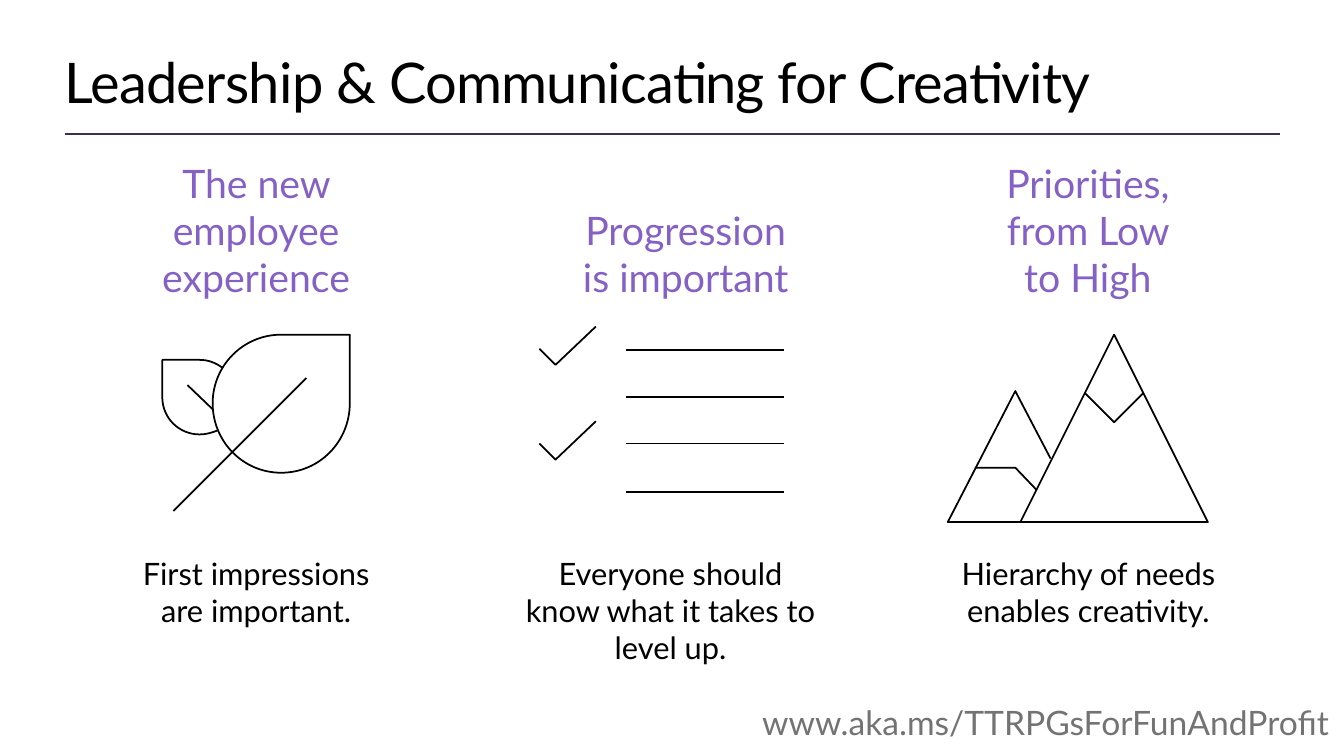
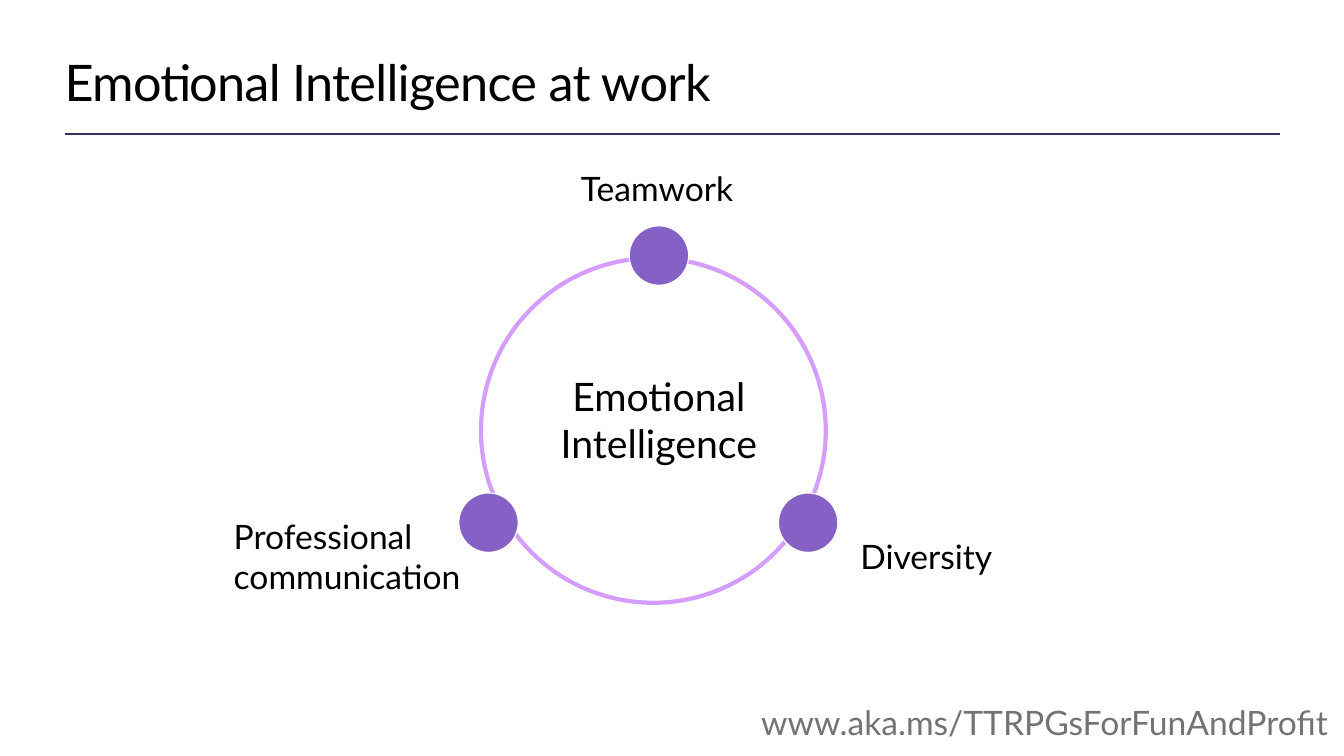
from lxml import etree
from pptx import Presentation
from pptx.dml.color import RGBColor
from pptx.enum.shapes import MSO_CONNECTOR, MSO_SHAPE
from pptx.enum.text import MSO_ANCHOR as Anchor, MSO_AUTO_SIZE, PP_ALIGN as Align
from pptx.oxml.ns import qn
from pptx.util import Inches, Pt

FONT = "Lato"
COLORS = {"text": "000000", "accent": "8661C5", "ring": "D59DFF",
          "rule": "3B2E58", "footer": "737373", "white": "FFFFFF"}
FOOTER = "www.aka.ms/TTRPGsForFunAndProfit"

# A stroke lists points (x, y); three points in one tuple make a Bézier curve.
LEAVES = [
    [(3.47, 3.32), (3.47, 4),
     ((3.47, 4.38), (3.17, 4.69), (2.79, 4.69)),
     ((2.41, 4.69), (2.11, 4.38), (2.11, 4)),
     ((2.11, 3.63), (2.41, 3.32), (2.79, 3.32)), (3.47, 3.32)],
    [(1.72, 5.07), (3.04, 3.75)],
    [(1.86, 3.82), (2.11, 4.06)],
    [(2.21, 3.65), ((2.14, 3.6), (2.07, 3.57), (1.98, 3.57)),
     (1.61, 3.57), (1.61, 3.94),
     ((1.61, 4.15), (1.78, 4.31), (1.98, 4.31)),
     ((2.05, 4.31), (2.11, 4.29), (2.16, 4.27))],
]
CHECKLIST = [[(6.21, y), (7.78, y)] for y in (3.47, 3.94, 4.4, 4.88)] + [
    [(5.35, y), (5.51, y + 0.16), (5.91, y - 0.22)] for y in (3.46, 4.4)]
MOUNTAINS = [
    [(11.98, 5.18), (11.05, 3.32), (10.12, 5.18), (11.98, 5.18)],
    [(10.16, 5.18), (9.4, 5.18), (10.07, 3.88), (10.42, 4.55)],
    [(11.34, 3.9), (11.05, 4.19), (10.76, 3.9)],
    [(9.67, 4.64), (10.07, 4.64), (10.28, 4.86)],
]

# heading, heading left and width, icon, caption, caption left, width and height
COLUMNS = [
    ("The new employee experience", 1.32, 2.44, LEAVES,
     "First impressions are important.", 1.32, 2.44, 0.74),
    ("Progression is important", 5.74, 2.12, CHECKLIST,
     "Everyone should know what it takes to level up.", 5.16, 2.98, 1.11),
    ("Priorities, from Low to High", 9.92, 1.74, MOUNTAINS,
     "Hierarchy of needs enables creativity.", 9.2, 3.19, 1.11),
]

RING = (4.77, 2.56, 3.42)
DOT_SIZE = 0.59
# dot left and top, label, label box, alignment
TOPICS = [
    ((4.55, 4.89), "Professional communication", (2.22, 5.07, 2.63, 0.91), Align.LEFT),
    ((7.72, 4.89), "Diversity", (7.79, 5.27, 2.15, 0.5), Align.RIGHT),
    ((6.24, 2.24), "Teamwork", (5.58, 1.62, 1.79, 0.5), Align.RIGHT),
]


def rgb(name):
    return RGBColor.from_string(COLORS[name])


def fill_text(shape, text, size, color="text", align=Align.LEFT, anchor=Anchor.TOP,
              flush=True):
    """Write one paragraph, with line breaks at newlines; flush removes the insets."""
    frame = shape.text_frame
    frame.word_wrap = True
    frame.auto_size = MSO_AUTO_SIZE.SHAPE_TO_FIT_TEXT
    frame.vertical_anchor = anchor
    if flush:
        frame.margin_left = frame.margin_right = 0
        frame.margin_top = frame.margin_bottom = 0
    paragraph = frame.paragraphs[0]
    paragraph.alignment = align
    for index, line in enumerate(text.split("\n")):
        if index:
            paragraph.add_line_break()
        run = paragraph.add_run()
        run.text = line
        run.font.name = FONT
        run.font.size = Pt(size)
        run.font.color.rgb = rgb(color)
    return paragraph


def add_text(slide, box, text, size, **style):
    shape = slide.shapes.add_textbox(*map(Inches, box))
    fill_text(shape, text, size, **style)


def set_line(shape, color, width):
    shape.line.color.rgb = rgb(color)
    shape.line.width = Pt(width)


def add_circle(slide, left, top, size, line, width, fill=None):
    circle = slide.shapes.add_shape(
        MSO_SHAPE.OVAL, *map(Inches, (left, top, size, size)))
    circle.shadow.inherit = False
    if fill:
        circle.fill.solid()
        circle.fill.fore_color.rgb = rgb(fill)
    else:
        circle.fill.background()
    set_line(circle, line, width)


def is_curve(step):
    return len(step) == 3


def bend_segments(freeform, strokes):
    """Join the three straight segments that stand for each curve into one Bézier."""
    segments = iter(list(freeform._element.iter(qn("a:lnTo"))))
    for stroke in strokes:
        for step in stroke[1:]:
            segment = next(segments)
            if is_curve(step):
                segment.tag = qn("a:cubicBezTo")
                for _ in range(2):
                    following = next(segments)
                    segment.append(following[0])
                    following.getparent().remove(following)


def add_icon(slide, strokes):
    """Draw all strokes as one unfilled outline."""
    builder = None
    for start, *steps in strokes:
        start = tuple(map(Inches, start))
        if builder is None:
            builder = slide.shapes.build_freeform(*start)
        else:
            builder.move_to(*start)
        for step in steps:
            points = step if is_curve(step) else [step]
            builder.add_line_segments(
                [(Inches(x), Inches(y)) for x, y in points], close=False)
    icon = builder.convert_to_shape()
    bend_segments(icon, strokes)
    icon.shadow.inherit = False
    icon.fill.background()
    set_line(icon, "text", 1.25)


def add_slide(presentation, title, title_size, title_top, title_height):
    """Add a slide with the shared title style and rule."""
    slide = presentation.slides.add_slide(presentation.slide_layouts[5])
    heading = slide.shapes.title
    heading.left, heading.top, heading.width, heading.height = map(
        Inches, (0.64, title_top, 12.05, title_height))
    paragraph = fill_text(heading, title, title_size, anchor=Anchor.MIDDLE)
    for run in paragraph.runs:
        run._r.get_or_add_rPr().set("spc", "-50")
    rule = slide.shapes.add_connector(
        MSO_CONNECTOR.STRAIGHT, *map(Inches, (0.64, 1.33, 12.7, 1.33)))
    set_line(rule, "rule", 2)
    etree.SubElement(rule._element.spPr, qn("a:effectLst"))
    return slide


def add_footer(slide, left, width):
    add_text(slide, (left, 6.96, width, 0.4), FOOTER, 24, color="footer",
             align=Align.RIGHT)


def add_leadership_slide(presentation):
    slide = add_slide(presentation, "Leadership & Communicating for Creativity",
                      40, 0.47, 0.67)
    for (heading, left, width, icon,
         caption, caption_left, caption_width, caption_height) in COLUMNS:
        add_text(slide, (left, 1.57, width, 1.41), heading, 28, color="accent",
                 align=Align.CENTER, anchor=Anchor.BOTTOM)
        add_icon(slide, icon)
        add_text(slide, (caption_left, 5.5, caption_width, caption_height), caption, 22,
                 align=Align.CENTER)
    add_footer(slide, 6.67, 6.51)


def add_emotional_slide(presentation):
    slide = add_slide(presentation, "Emotional Intelligence at work", 36, 0.5, 0.61)
    add_circle(slide, *RING, line="ring", width=3)
    add_text(slide, (5, 3.64, 3.07, 1.04), "Emotional\nIntelligence", 28,
             align=Align.CENTER, flush=False)
    for (left, top), label, box, align in TOPICS:
        add_circle(slide, left, top, DOT_SIZE, line="white", width=0.85, fill="accent")
        add_text(slide, box, label, 24, align=align, flush=False)
    add_footer(slide, 0.29, 12.88)


def main():
    presentation = Presentation()
    presentation.slide_width = Inches(13.33)
    presentation.slide_height = Inches(7.5)
    add_leadership_slide(presentation)
    add_emotional_slide(presentation)
    presentation.save("out.pptx")


if __name__ == "__main__":
    main()
